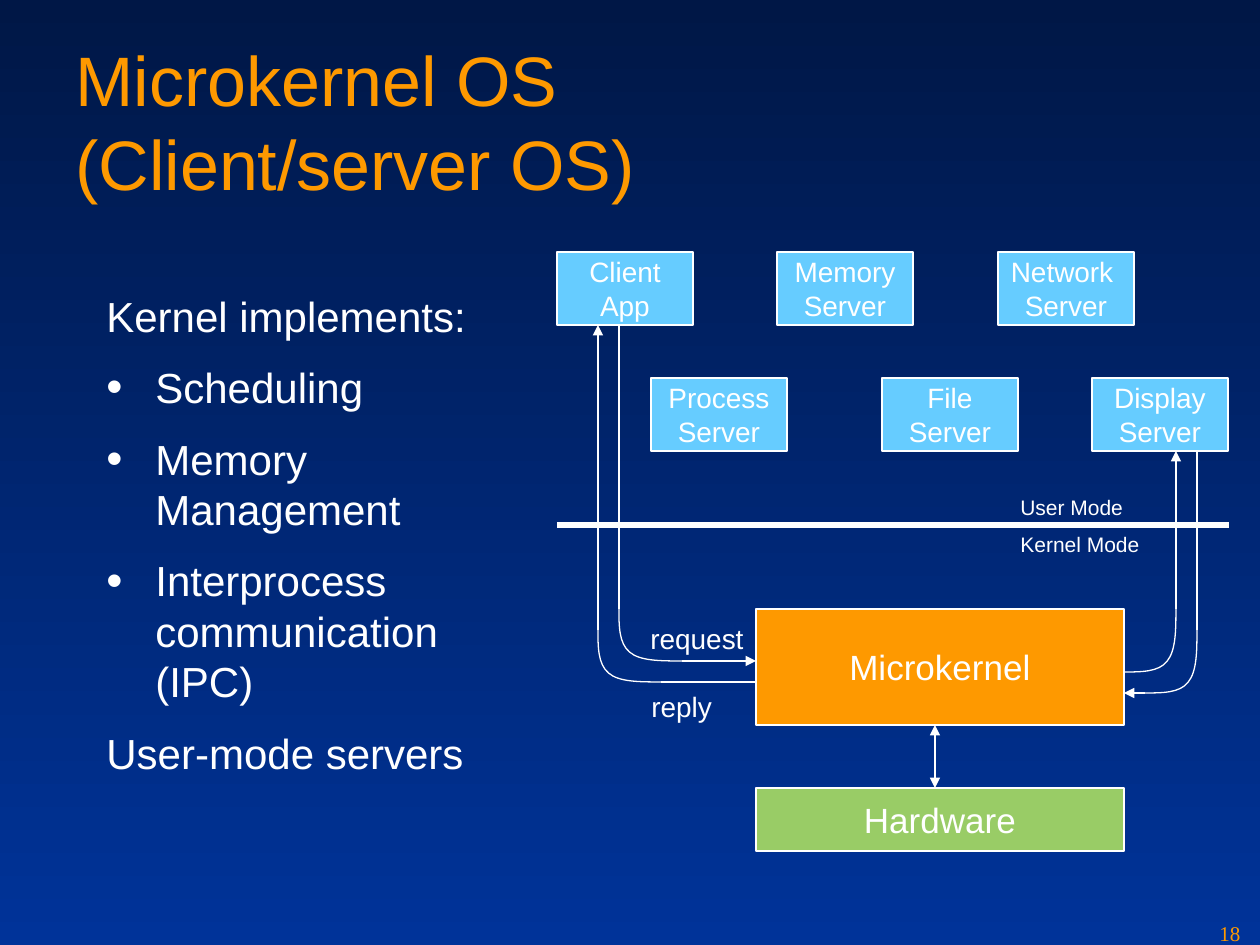
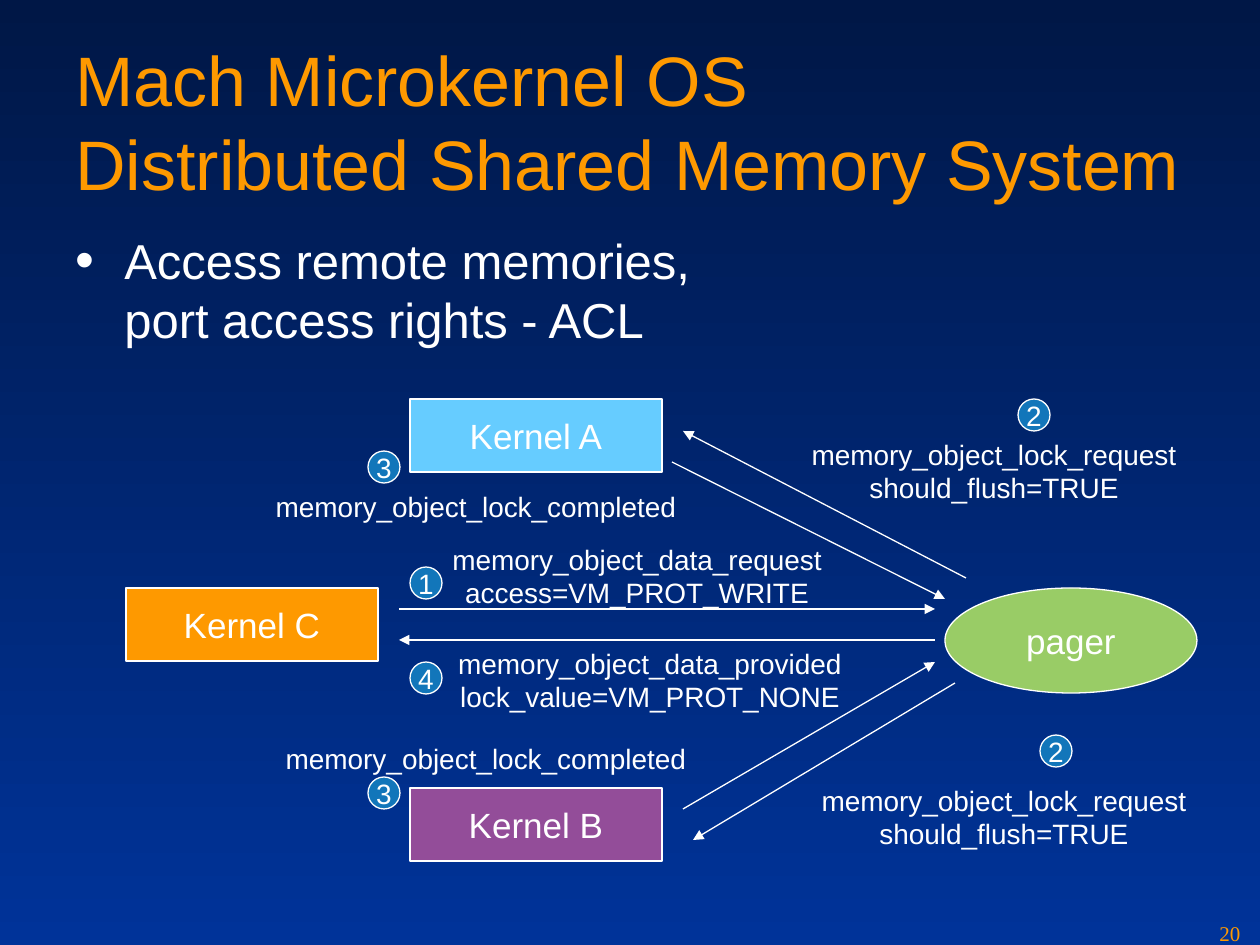
from lxml.etree import SubElement
from pptx import Presentation
from pptx.dml.color import RGBColor
from pptx.enum.shapes import MSO_CONNECTOR as CONN, MSO_SHAPE as SHAPE
from pptx.enum.text import MSO_ANCHOR as ANCHOR, MSO_AUTO_SIZE as AUTO, PP_ALIGN as ALIGN
from pptx.oxml.ns import qn
from pptx.util import Inches, Pt

C = {
    "top": "001746", "bottom": "003399", "accent": "FE9900", "white": "FFFFFF",
    "sky": "66CCFF", "green": "99CC66", "purple": "934D99", "step": "1276BA",
}
SANS, SERIF = "Arial", "Times New Roman"
CORNER = [(0, 0.33), (0, 0.66), (0.17, 0.83), (0.33, 1), (0.66, 1), (1, 1)]


def px(n):
    return round(n * Inches(1) / 126)


def rgb(name):
    return RGBColor.from_string(C[name])


def write(p, text, size, color="white", font=SANS):
    for i, line in enumerate(text.split("\n")):
        if i:
            p.add_line_break()
        r = p.add_run()
        r.text = line
        r.font.size, r.font.name = Pt(size), font
        r.font.color.rgb = rgb(color)


def textbox(s, x, y, w, h, wrap=True):
    tf = s.shapes.add_textbox(px(x), px(y), px(w), px(h)).text_frame
    tf.word_wrap = wrap
    return tf


def label(s, x, y, w, h, text, size=16, align=ALIGN.LEFT):
    tf = textbox(s, x, y, w, h, wrap=False)
    tf.auto_size = AUTO.SHAPE_TO_FIT_TEXT
    p = tf.paragraphs[0]
    p.alignment = align
    write(p, text, size)


def node(s, x, y, w, h, text, fill, size=20, kind=SHAPE.RECTANGLE):
    sp = s.shapes.add_shape(kind, px(x), px(y), px(w), px(h))
    sp.shadow.inherit = False
    sp.fill.solid()
    sp.fill.fore_color.rgb = rgb(fill)
    outline(sp.line)
    tf = sp.text_frame
    tf.word_wrap = False
    tf.vertical_anchor = ANCHOR.MIDDLE
    p = tf.paragraphs[0]
    p.alignment = ALIGN.CENTER
    write(p, text, size)


def outline(line, width=0.75):
    line.color.rgb = rgb("white")
    line.width = Pt(width)


def connect(s, x1, y1, x2, y2, ends=(), width=0.75):
    cn = s.shapes.add_connector(CONN.STRAIGHT, px(x1), px(y1), px(x2), px(y2))
    outline(cn.line, width)
    SubElement(cn._element.spPr, qn("a:effectLst"))
    ln = cn.line._get_or_add_ln()
    for end in ends:
        SubElement(ln, qn(f"a:{end}")).set("type", "triangle")


def corner(s, x, y, dx, dy):
    fb = s.shapes.build_freeform(px(x), px(y))
    fb.add_line_segments([(px(x + u * dx), px(y + v * dy)) for u, v in CORNER], close=False)
    sp = fb.convert_to_shape()
    sp.shadow.inherit = False
    sp.fill.background()
    outline(sp.line)
    steps = sp._element.xpath(".//a:lnTo")
    for i in range(0, len(steps), 3):
        steps[i].tag = qn("a:cubicBezTo")
        for step in steps[i + 1:i + 3]:
            steps[i].append(step[0])
            step.getparent().remove(step)


def route(s, x, top, turn, dx, dy, end, arrow_at_top):
    connect(s, x, turn, x, top, ["tailEnd"] if arrow_at_top else [])
    corner(s, x, turn, dx, dy)
    if x + dx != end:
        connect(s, x + dx, turn + dy, end, turn + dy, [] if arrow_at_top else ["tailEnd"])


def body(s, x, y, w, h, items, size, gap):
    tf = textbox(s, x, y, w, h)
    for i, (text, bullet) in enumerate(items):
        p = tf.add_paragraph() if i else tf.paragraphs[0]
        pPr = p._p.get_or_add_pPr()
        pPr.set("marL", str(px(49)))
        pPr.set("indent", str(-px(49)))
        if bullet:
            clr = SubElement(pPr, qn("a:buClr"))
            SubElement(clr, qn("a:srgbClr")).set("val", C["white"])
            SubElement(pPr, qn("a:buSzPct")).set("val", "110000")
            SubElement(pPr, qn("a:buFont")).set("typeface", SANS)
            SubElement(pPr, qn("a:buChar")).set("char", "•")
        p.space_before = Pt(gap if i else 0)
        p.space_after = Pt(gap)
        write(p, text, size)


def new_slide(prs, title, number):
    s = prs.slides.add_slide(prs.slide_layouts[6])
    write(textbox(s, 63, 30, 1134, 157).paragraphs[0], title, 40, "accent")
    write(textbox(s, 1207, 914, 53, 31).paragraphs[0], number, 12, "accent", SERIF)
    return s


def microkernel_diagram(s, x, y):
    w, h = 136, 73
    servers = [
        (0, 0, "Client\nApp"), (220, 0, "Memory\nServer"), (441, 0, "Network \nServer"),
        (94, 126, "Process\nServer"), (325, 126, "File\nServer"), (535, 126, "Display\nServer"),
    ]
    for dx, dy, name in servers:
        node(s, x + dx, y + dy, w, h, name, "sky", 16)
    node(s, x + 199, y + 357, 368, 116, "Microkernel", "accent")
    node(s, x + 199, y + 536, 368, 63, "Hardware", "green")
    connect(s, x + 378, y + 473, x + 378, y + 536, ["headEnd", "tailEnd"])

    routes = [
        (62, h, 357, 63, 52, 199, False), (41, h, 378, 63, 52, 199, True),
        (619, 126 + h, 357, -52, 63, 567, True), (640, 126 + h, 378, -52, 63, 567, False),
    ]
    for rx, top, turn, dx, dy, end, arrow_at_top in routes:
        route(s, x + rx, y + top, y + turn, dx, dy, x + end, arrow_at_top)
    label(s, x + 81, y + 363, 118, 47, "request")
    label(s, x + 82, y + 431, 86, 47, "reply")

    connect(s, x, y + 273, x + 672, y + 273, width=3)
    label(s, x + 451, y + 236, 128, 38, "User Mode", 12)
    label(s, x + 451, y + 273, 144, 38, "Kernel Mode", 12)


def shared_memory_diagram(s, x, y):
    kernels = [(284, 0, "A", "sky"), (0, 189, "C", "accent"), (284, 389, "B", "purple")]
    for dx, dy, name, fill in kernels:
        node(s, x + dx, y + dy, 252, 73, f"Kernel {name}", fill)
    node(s, x + 819, y + 189, 252, 105, "pager", "green", kind=SHAPE.OVAL)

    messages = [
        (273, 210, 809, 210), (809, 241, 273, 241), (546, 63, 819, 200),
        (840, 179, 557, 32), (557, 410, 809, 263), (829, 284, 567, 441),
    ]
    for x1, y1, x2, y2 in messages:
        connect(s, x + x1, y + y1, x + x2, y + y2, ["tailEnd"])

    completed = "memory_object_lock_completed"
    flush = "memory_object_lock_request\nshould_flush=TRUE"
    labels = [
        (137, 84, 426, 47, completed), (147, 336, 426, 47, completed),
        (672, 32, 392, 81, flush), (682, 378, 392, 81, flush),
        (312, 137, 398, 81, "memory_object_data_request\naccess=VM_PROT_WRITE"),
        (318, 241, 412, 81, "memory_object_data_provided\nlock_value=VM_PROT_NONE"),
    ]
    for dx, dy, w, h, text in labels:
        label(s, x + dx, y + dy, w, h, text, align=ALIGN.CENTER)

    steps = [(284, 168, 1), (892, 0, 2), (914, 336, 2), (242, 378, 3), (242, 52, 3), (284, 263, 4)]
    for dx, dy, number in steps:
        node(s, x + dx, y + dy, 32, 32, str(number), "step", 16, SHAPE.OVAL)


def main():
    prs = Presentation()
    prs.slide_width, prs.slide_height = px(1260), px(945)
    fill = prs.slide_master.background.fill
    fill.gradient()
    fill.gradient_angle = 270
    for stop, name in zip(fill.gradient_stops, ("top", "bottom")):
        stop.color.rgb = rgb(name)

    s = new_slide(prs, "Microkernel OS\n(Client/server OS)", "18")
    body(s, 94, 284, 388, 577, [
        ("Kernel implements:", False),
        ("Scheduling", True),
        ("Memory Management", True),
        ("Interprocess communication (IPC)", True),
        ("User-mode servers", False),
    ], 24, 6)
    microkernel_diagram(s, 557, 252)

    s = new_slide(prs, "Mach Microkernel OS\nDistributed Shared Memory System", "20")
    body(s, 63, 224, 1134, 634,
         [("Access remote memories,\nport access rights - ACL", True)], 28, 7)
    shared_memory_diagram(s, 126, 399)

    prs.save("out.pptx")


if __name__ == "__main__":
    main()
